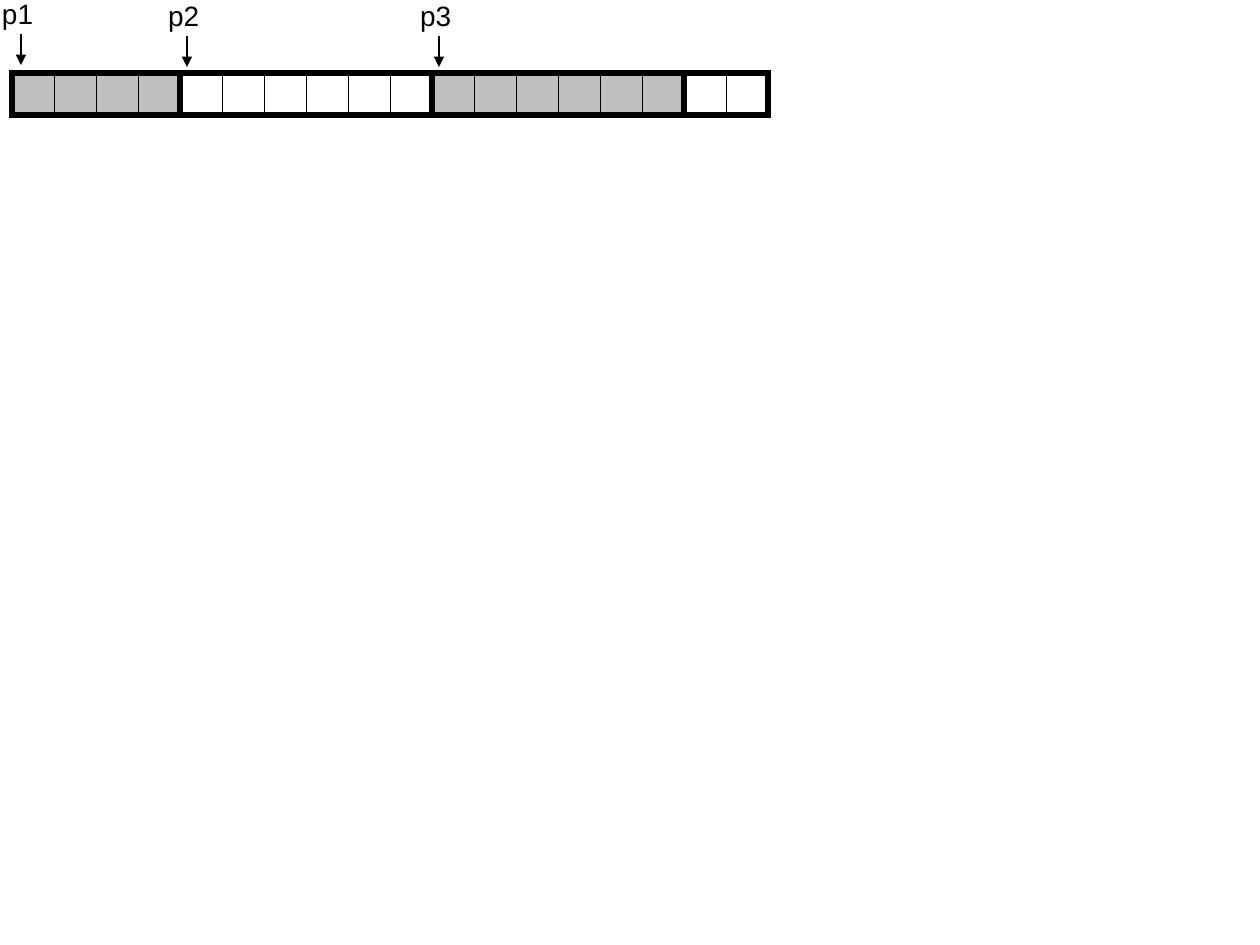
import pptx
import pptx.util
import pptx.dml.color
import pptx.enum.shapes
import pptx.enum.text
import pptx.oxml.ns
from lxml import etree

RGB = pptx.dml.color.RGBColor.from_string
PX = 914400 / 126
THEME = {
    "ink": RGB("000000"), "used": RGB("C0C0C0"), "free": RGB("FFFFFF"),
    "font": "Arial", "label": 16, "thin": 0.25, "arrow": 1, "thick": 3,
}
CELL, LEFT, TOP = 42, 12, 72


def px(*lengths):
    return [round(n * PX) for n in lengths]


def add_box(x, y, w, h, fill, weight):
    s = slide.shapes.add_shape(pptx.enum.shapes.MSO_SHAPE.RECTANGLE, *px(x, y, w, h))
    s.shadow.inherit = False
    if fill is None:
        s.fill.background()
    else:
        s.fill.solid()
        s.fill.fore_color.rgb = fill
    s.line.color.rgb = THEME["ink"]
    s.line.width = pptx.util.Pt(weight)
    ln = s._element.spPr.find(pptx.oxml.ns.qn("a:ln"))
    etree.SubElement(ln, pptx.oxml.ns.qn("a:miter"), lim="800000")


prs = pptx.Presentation()
prs.slide_width, prs.slide_height = px(1260, 945)
slide = prs.slides.add_slide(prs.slide_layouts[6])

# Memory blocks: cells first, then a heavy frame around each block
blocks = [(4, "used"), (6, "free"), (6, "used"), (2, "free")]
frames = []
x = LEFT
for count, state in blocks:
    frames.append((x, count * CELL))
    for i in range(count):
        add_box(x + i * CELL, TOP, CELL, CELL, THEME[state], THEME["thin"])
    x += count * CELL
for x, width in frames:
    add_box(x, TOP + 1, width, CELL, None, THEME["thick"])

# Pointers: label, label left and top, arrow x and start
pointers = [("p1", -10, -10, 21, 34), ("p2", 156, -8, 187, 36), ("p3", 408, -8, 439, 36)]
for name, x, y, arrow_x, arrow_y in pointers:
    tf = slide.shapes.add_textbox(*px(x, y, 55, 47)).text_frame
    frame_format = {
        "word_wrap": False,
        "auto_size": pptx.enum.text.MSO_AUTO_SIZE.NONE,
        "vertical_anchor": pptx.enum.text.MSO_ANCHOR.MIDDLE,
        "margin_left": 0,
        "margin_right": 0,
    }
    for key, value in frame_format.items():
        setattr(tf, key, value)
    p = tf.paragraphs[0]
    p.alignment = pptx.enum.text.PP_ALIGN.CENTER
    r = p.add_run()
    r.text = name
    for key, value in {"name": THEME["font"], "size": pptx.util.Pt(THEME["label"])}.items():
        setattr(r.font, key, value)
    r.font.color.rgb = THEME["ink"]

    s = slide.shapes.add_connector(
        pptx.enum.shapes.MSO_CONNECTOR.STRAIGHT, *px(arrow_x, arrow_y, arrow_x, arrow_y + 31))
    s.line.color.rgb = THEME["ink"]
    s.line.width = pptx.util.Pt(THEME["arrow"])
    ln = s._element.spPr.find(pptx.oxml.ns.qn("a:ln"))
    etree.SubElement(ln, pptx.oxml.ns.qn("a:tailEnd"), type="triangle")
    etree.SubElement(s._element.spPr, pptx.oxml.ns.qn("a:effectLst"))

prs.save("out.pptx")
